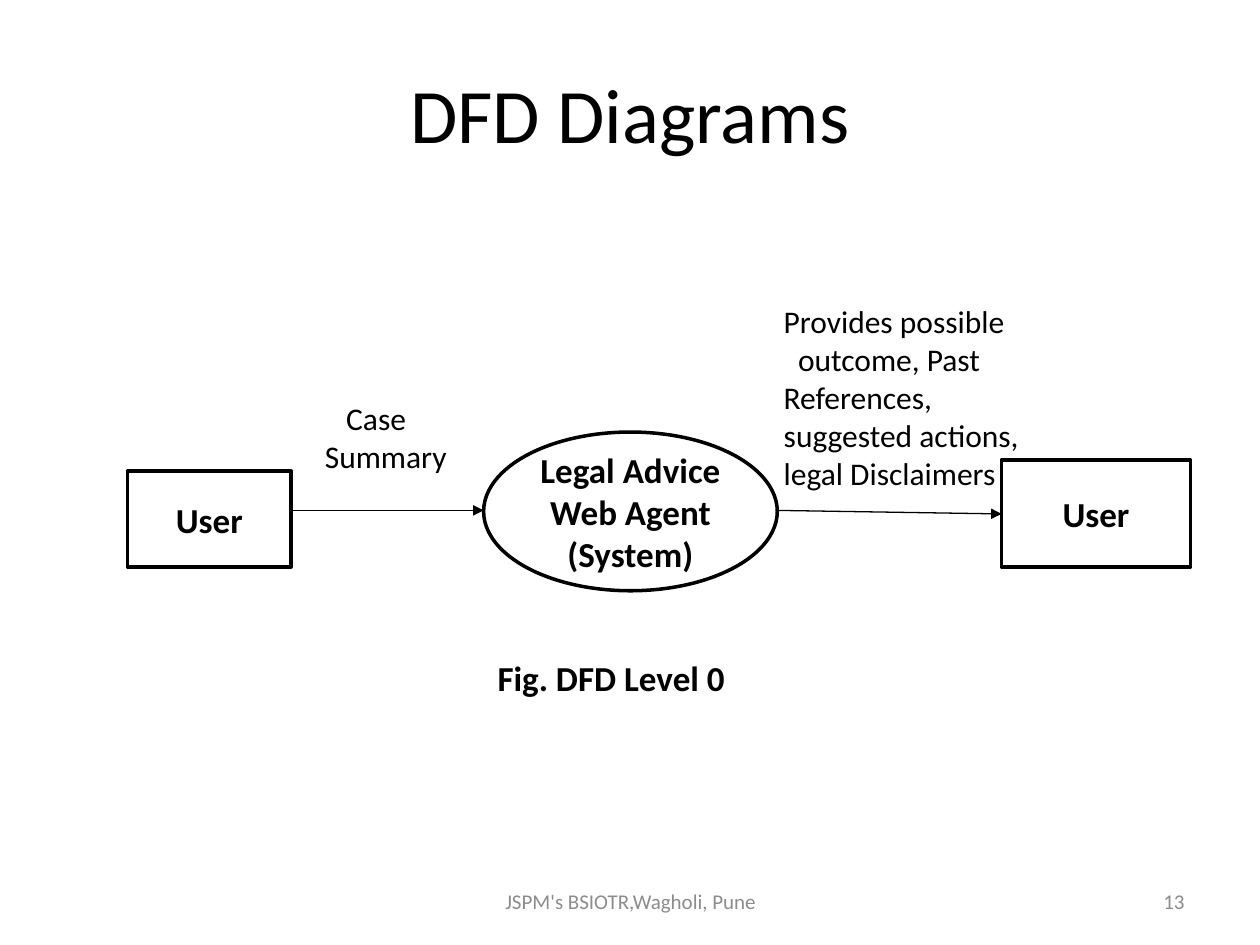
from lxml import etree
from pptx import Presentation
from pptx.dml.color import RGBColor
from pptx.enum import shapes, text
from pptx.oxml.ns import qn
from pptx.util import Cm, Pt

COLORS = {"ink": "000000", "paper": "FFFFFF", "muted": "8C8C8C"}
FONT = "Calibri"
LEFT, CENTER, RIGHT = text.PP_ALIGN.LEFT, text.PP_ALIGN.CENTER, text.PP_ALIGN.RIGHT
TOP, MIDDLE = text.MSO_ANCHOR.TOP, text.MSO_ANCHOR.MIDDLE
RECTANGLE, OVAL = shapes.MSO_SHAPE.RECTANGLE, shapes.MSO_SHAPE.OVAL

TITLE = ("DFD Diagrams", (1.27, 0.69, 22.86, 3.18))
NODES = [
    (RECTANGLE, (2.57, 9.5, 3.3, 1.93), ["User"]),
    (RECTANGLE, (20.19, 9.27, 3.81, 2.16), ["User"]),
    (OVAL, (9.75, 8.71, 5.92, 3.2), ["Legal Advice", "Web Agent", "(System)"]),
]
FLOWS = [((5.87, 10.29), (9.75, 10.29)), ((15.67, 10.29), (20.19, 10.36))]
LABELS = [
    ((9.78, 13.11, 6.35, 1.12), [("Fig. DFD Level 0", 0)], 20, True, "ink", LEFT, TOP),
    ((6.3, 7.92, 3, 1.8), [("Case", 0.43), ("Summary", 0)], 18, False, "ink", LEFT, TOP),
    ((15.55, 5.97, 5.28, 4.11),
     [("Provides possible", 0), ("outcome, Past", 0.29),
      ("References, suggested actions, legal Disclaimers", 0)],
     18, False, "ink", LEFT, TOP),
    ((8.69, 17.65, 8.05, 1.02), [("JSPM's BSIOTR,Wagholi, Pune", 0)],
     12, False, "muted", CENTER, MIDDLE),
    ((18.21, 17.65, 5.92, 1.02), [("13", 0)], 12, False, "muted", RIGHT, MIDDLE),
]


def color(name):
    return RGBColor.from_string(COLORS[name])


def lengths(values):
    return [Cm(value) for value in values]


def write(shape, lines, size, bold, ink, align, anchor):
    frame = shape.text_frame
    frame.word_wrap = True
    frame.vertical_anchor = anchor
    frame.text = "\n".join(line for line, indent in lines)
    for paragraph, (line, indent) in zip(frame.paragraphs, lines):
        paragraph.alignment = align
        if indent:
            paragraph._p.get_or_add_pPr().set("marL", str(Cm(indent)))
        font = paragraph.font
        font.name, font.size, font.bold = FONT, Pt(size), bold
        font.color.rgb = color(ink)


def add_node(slide, kind, box, lines):
    shape = slide.shapes.add_shape(kind, *lengths(box))
    shape.shadow.inherit = False
    shape.fill.solid()
    shape.fill.fore_color.rgb = color("paper")
    shape.line.color.rgb = color("ink")
    shape.line.width = Pt(2)
    write(shape, [(line, 0) for line in lines], 20, True, "ink", CENTER, MIDDLE)


def add_flow(slide, start, end):
    connector = slide.shapes.add_connector(
        shapes.MSO_CONNECTOR.STRAIGHT, *lengths(start + end))
    connector.line.color.rgb = color("ink")
    connector.line.width = Pt(0.75)
    etree.SubElement(connector.line._get_or_add_ln(), qn("a:tailEnd"), type="triangle")
    etree.SubElement(connector._element.spPr, qn("a:effectLst"))


def main():
    presentation = Presentation()
    presentation.slide_width, presentation.slide_height = Cm(25.4), Cm(19.05)
    slide = presentation.slides.add_slide(presentation.slide_layouts[5])

    words, box = TITLE
    title = slide.shapes.title
    title.left, title.top, title.width, title.height = lengths(box)
    write(title, [(words, 0)], 44, False, "ink", CENTER, MIDDLE)

    for node in NODES:
        add_node(slide, *node)
    for flow in FLOWS:
        add_flow(slide, *flow)
    for box, *style in LABELS:
        write(slide.shapes.add_textbox(*lengths(box)), *style)

    presentation.save("out.pptx")


if __name__ == "__main__":
    main()
